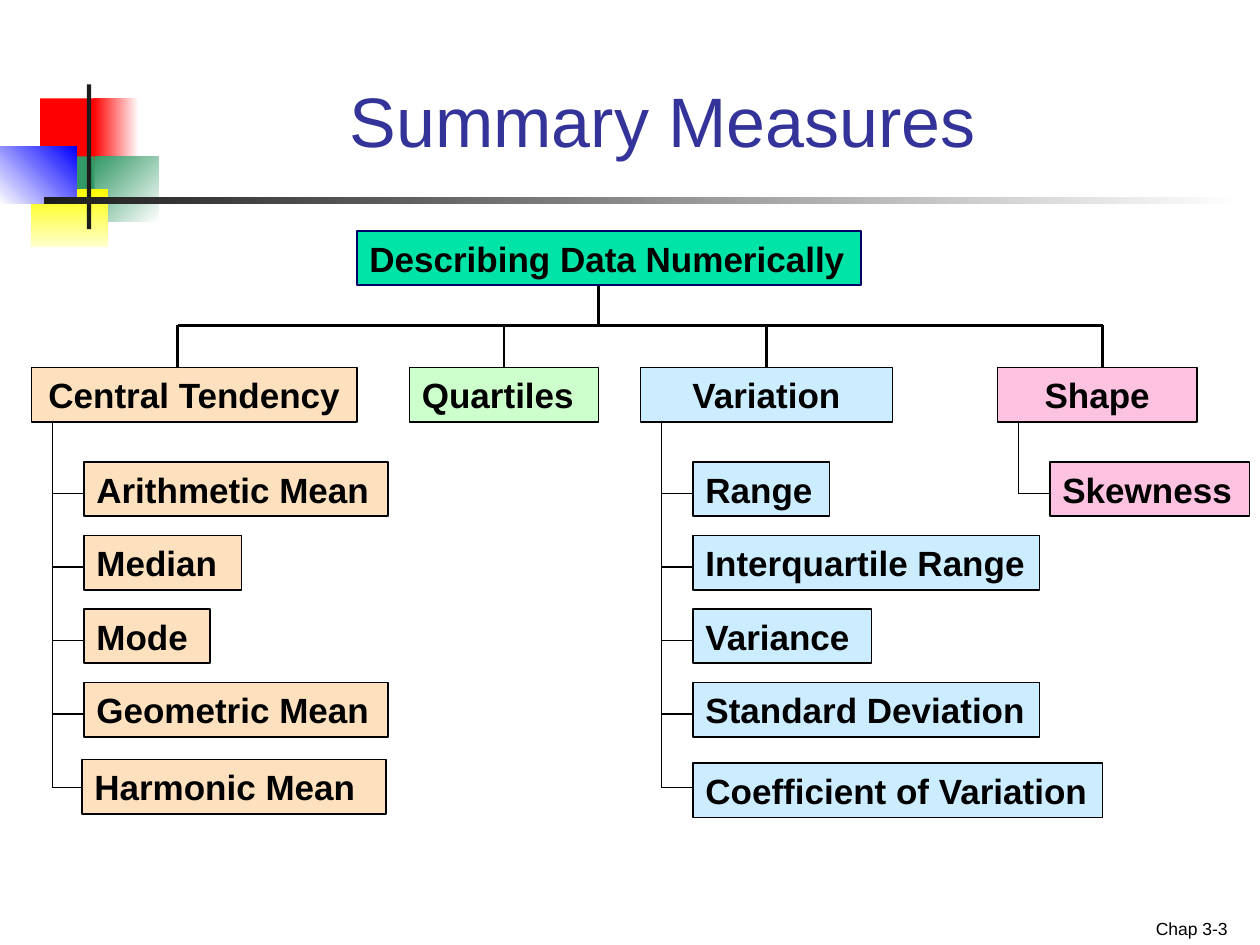
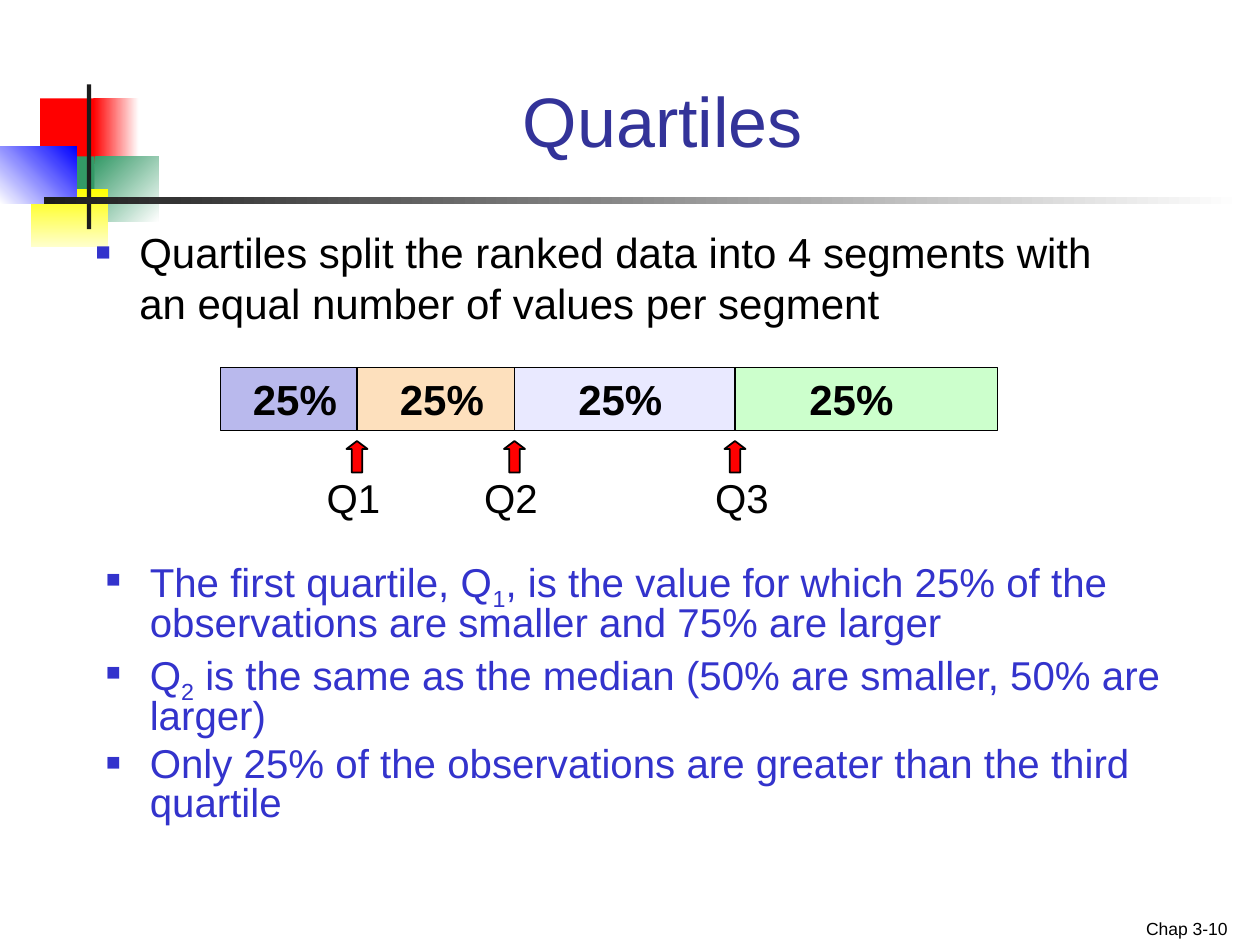
from dataclasses import dataclass
from itertools import pairwise

from lxml.etree import SubElement
from pptx import Presentation
from pptx.dml.color import RGBColor
from pptx.enum.shapes import MSO_CONNECTOR as Connector, MSO_SHAPE as Shape
from pptx.enum.text import MSO_ANCHOR as Anchor, PP_ALIGN as Align
from pptx.oxml.ns import qn
from pptx.util import Pt


@dataclass(frozen=True)
class Theme:
    font: str = "Arial"
    title_size: float = 40
    body_size: float = 24
    detail_size: float = 23
    box_size: float = 20
    footer_size: float = 10
    ink: str = "000000"
    title: str = "333399"
    accent: str = "3333CC"
    rule: str = "1C1C1C"
    white: str = "FFFFFF"
    red: str = "FF0000"
    green: str = "339966"
    blue: str = "0000FF"
    yellow: str = "FFFF00"
    cream: str = "FFFFCC"
    root: str = "00E4A8"
    root_line: str = "000066"
    peach: str = "FDE0BD"
    mint: str = "CCFFCC"
    sky: str = "CCECFF"
    pink: str = "FCC2E0"
    violet: str = "B9B9ED"
    lilac: str = "E9E9FF"


THEME = Theme()
BOX_HEIGHT = 31


@dataclass(frozen=True)
class Branch:
    name: str
    left: float
    width: float
    drop: float  # where the line from the root arrives
    fill: str
    align: Align = Align.CENTER
    measures: tuple = ()  # (name, width)
    last_left: float = 0  # nudge of the fifth box
    last_top: float = 0


BRANCHES = (
    Branch("Central Tendency", 18, 186, 101.5, THEME.peach,
           measures=(("Arithmetic Mean", 174), ("Median", 90), ("Mode", 72),
                     ("Geometric Mean", 174), ("Harmonic Mean", 174)),
           last_left=-1.2, last_top=2),
    Branch("Quartiles", 234, 108, 288, THEME.mint, Align.LEFT),
    Branch("Variation", 366, 144, 438, THEME.sky,
           measures=(("Range", 78), ("Interquartile Range", 198),
                     ("Variance", 102), ("Standard Deviation", 198),
                     ("Coefficient of Variation", 234)),
           last_top=4.2),
    Branch("Shape", 570, 114, 630, THEME.pink, measures=(("Skewness", 114),)),
)


# Basic elements
def color(value):
    return RGBColor.from_string(value)


def style_font(font, size, tint=THEME.ink, bold=False):
    font.name = THEME.font
    font.size = Pt(size)
    font.bold = bold
    font.color.rgb = color(tint)


def add_block(page, left, top, width, height, fill, line=None, kind=Shape.RECTANGLE):
    block = page.shapes.add_shape(kind, Pt(left), Pt(top), Pt(width), Pt(height))
    block.shadow.inherit = False
    block.fill.solid()
    block.fill.fore_color.rgb = color(fill)
    if line:
        block.line.color.rgb = color(line)
        block.line.width = Pt(1)
    else:
        block.line.fill.background()
    return block


def add_fade(page, left, top, width, height, start, end, angle=0):
    """Block with a gradient; the angle runs counter-clockwise."""
    block = add_block(page, left, top, width, height, start)
    block.fill.gradient()
    block.fill.gradient_angle = angle
    for stop, tint in zip(block.fill.gradient_stops, (start, end)):
        stop.color.rgb = color(tint)


def add_line(page, x1, y1, x2, y2, weight):
    line = page.shapes.add_connector(
        Connector.STRAIGHT, Pt(x1), Pt(y1), Pt(x2), Pt(y2))
    line.line.color.rgb = color(THEME.ink)
    line.line.width = Pt(weight)
    SubElement(line._element.spPr, qn("a:effectLst"))


def set_frame(shape, anchor=Anchor.TOP, side=6.6):
    frame = shape.text_frame
    frame.word_wrap = True
    frame.vertical_anchor = anchor
    frame.margin_left = frame.margin_right = Pt(side)
    frame.margin_top = frame.margin_bottom = Pt(3.6)
    return frame


def add_text(page, left, top, width, height, text, size, tint=THEME.ink,
             align=Align.LEFT, anchor=Anchor.TOP, bold=False):
    box = page.shapes.add_textbox(Pt(left), Pt(top), Pt(width), Pt(height))
    frame = set_frame(box, anchor)
    frame.text = text
    para = frame.paragraphs[0]
    para.alignment = align
    style_font(para.runs[0].font, size, tint, bold)
    return para


def add_label_box(page, left, top, width, text, fill, align=Align.LEFT, line=THEME.ink):
    box = add_block(page, left, top, width, BOX_HEIGHT, fill, line)
    frame = set_frame(box, side=7.2)
    frame.text = text
    para = frame.paragraphs[0]
    para.alignment = align
    style_font(para.runs[0].font, THEME.box_size, bold=True)


def set_bullet(para):
    props = para._p.get_or_add_pPr()
    props.set("marL", str(Pt(25)))
    props.set("indent", str(-Pt(25)))
    tint = SubElement(props, qn("a:buClr"))
    SubElement(tint, qn("a:srgbClr")).set("val", THEME.accent)
    SubElement(props, qn("a:buSzPct")).set("val", "60000")
    SubElement(props, qn("a:buFont")).set("typeface", THEME.font)
    SubElement(props, qn("a:buChar")).set("char", "■")


def add_bullets(page, left, top, width, height, items, size, tint, spacing=1.0):
    """Each item is a tuple of texts; every second text is a subscript."""
    box = page.shapes.add_textbox(Pt(left), Pt(top), Pt(width), Pt(height))
    frame = set_frame(box)
    for index, texts in enumerate(items):
        para = frame.add_paragraph() if index else frame.paragraphs[0]
        set_bullet(para)
        para.line_spacing = spacing
        para.space_before = Pt(5.8 if index else 0)
        for place, text in enumerate(texts):
            span = para.add_run()
            span.text = text
            style_font(span.font, size, tint)
            if place % 2:
                span._r.get_or_add_rPr().set("baseline", "-25000")


# Shared page: emblem, rule, title, footer
def add_page(deck, title, footer):
    page = deck.slides.add_slide(deck.slide_layouts[6])
    add_block(page, 23, 56.2, 34.5, 37.4, THEME.red)
    add_fade(page, 53.3, 56.2, 26, 37.4, THEME.red, THEME.white)
    add_fade(page, 54, 89.3, 36.7, 37.4, THEME.green, THEME.white, 315)
    add_block(page, 31, 89.3, 23, 37.4, THEME.green)
    add_fade(page, 18, 108, 44, 33.1, THEME.yellow, THEME.cream, 270)
    add_fade(page, 0, 83.5, 44, 33.1, THEME.white, THEME.blue, 45)
    add_block(page, 49.7, 48.2, 2.5, 82.8, THEME.rule)
    add_fade(page, 25.2, 112.4, 684.7, 4.2, THEME.rule, THEME.white)
    add_text(page, 72, 18, 613.4, 78, title, THEME.title_size, THEME.title,
             Align.CENTER, Anchor.BOTTOM)
    add_text(page, 540, 515, 168, 25, footer, THEME.footer_size,
             align=Align.RIGHT, anchor=Anchor.BOTTOM)
    return page


# Tree of measures
def add_branch(page, branch):
    head_top, first_top, pitch = 210, 264, 42
    stem = branch.left + 12
    child_left = branch.left + 30
    add_line(page, branch.drop, 186, branch.drop, head_top, 1.5)
    if branch.measures:
        last_tick = first_top + 18 + pitch * (len(branch.measures) - 1)
        add_line(page, stem, 240, stem, last_tick, 0.75)
    for row, (name, width) in enumerate(branch.measures):
        top = first_top + pitch * row
        left = child_left
        add_line(page, stem, top + 18, child_left, top + 18, 0.75)
        if row == 4:
            left += branch.last_left
            top += branch.last_top
        add_label_box(page, left, top, width, name, branch.fill)
    add_label_box(page, branch.left, head_top, branch.width, branch.name,
                  branch.fill, branch.align)


def build_summary(deck):
    page = add_page(deck, "Summary Measures", "Chap 3-3")
    add_line(page, 342, 162, 342, 186, 1.5)
    add_line(page, BRANCHES[0].drop, 186, BRANCHES[-1].drop, 186, 1.5)
    add_label_box(page, 204, 132, 288, "Describing Data Numerically",
                  THEME.root, line=THEME.root_line)
    for branch in BRANCHES:
        add_branch(page, branch)


# Quartile bar
def add_quartile_bar(page):
    edges = (126, 204, 294, 420, 570)
    fills = (THEME.violet, THEME.peach, THEME.lilac, THEME.mint)
    share_lefts = (132, 216, 318, 450)
    for (start, end), fill in zip(pairwise(edges), fills):
        add_block(page, start, 210, end - start, 36, fill, THEME.ink)
    for left in share_lefts:
        add_text(page, left, 210, 73, 36, "25%", THEME.body_size,
                 align=Align.CENTER, bold=True)
    name_lefts = (180, 270, 402)
    for number, (edge, left) in enumerate(zip(edges[1:-1], name_lefts), 1):
        arrow = add_block(page, edge - 6, 252, 12, 18, THEME.red, THEME.ink,
                          Shape.UP_ARROW)
        arrow.adjustments[0] = 0.5
        arrow.adjustments[1] = 0.38
        para = add_text(page, left, 270, 48, 36, f"Q{number}", THEME.detail_size)
        para.line_spacing = 0.9


def build_quartiles(deck):
    page = add_page(deck, "Quartiles", "Chap 3-10")
    add_bullets(page, 48, 126, 588, 75, [
        ("Quartiles split the ranked data into 4 segments with an equal "
         "number of values per segment",),
    ], THEME.body_size, THEME.ink)
    add_quartile_bar(page)
    add_bullets(page, 54, 318, 630, 174, [
        ("The first quartile, Q", "1", ", is the value for which 25% of the "
         "observations are smaller and 75% are larger"),
        ("Q", "2", " is the same as the median (50% are smaller, 50% are larger)"),
        ("Only 25% of the observations are greater than the third quartile",),
    ], THEME.detail_size, THEME.accent, 0.8)


def main():
    deck = Presentation()
    deck.slide_width = Pt(720)
    deck.slide_height = Pt(540)
    build_summary(deck)
    build_quartiles(deck)
    deck.save("out.pptx")


if __name__ == "__main__":
    main()
